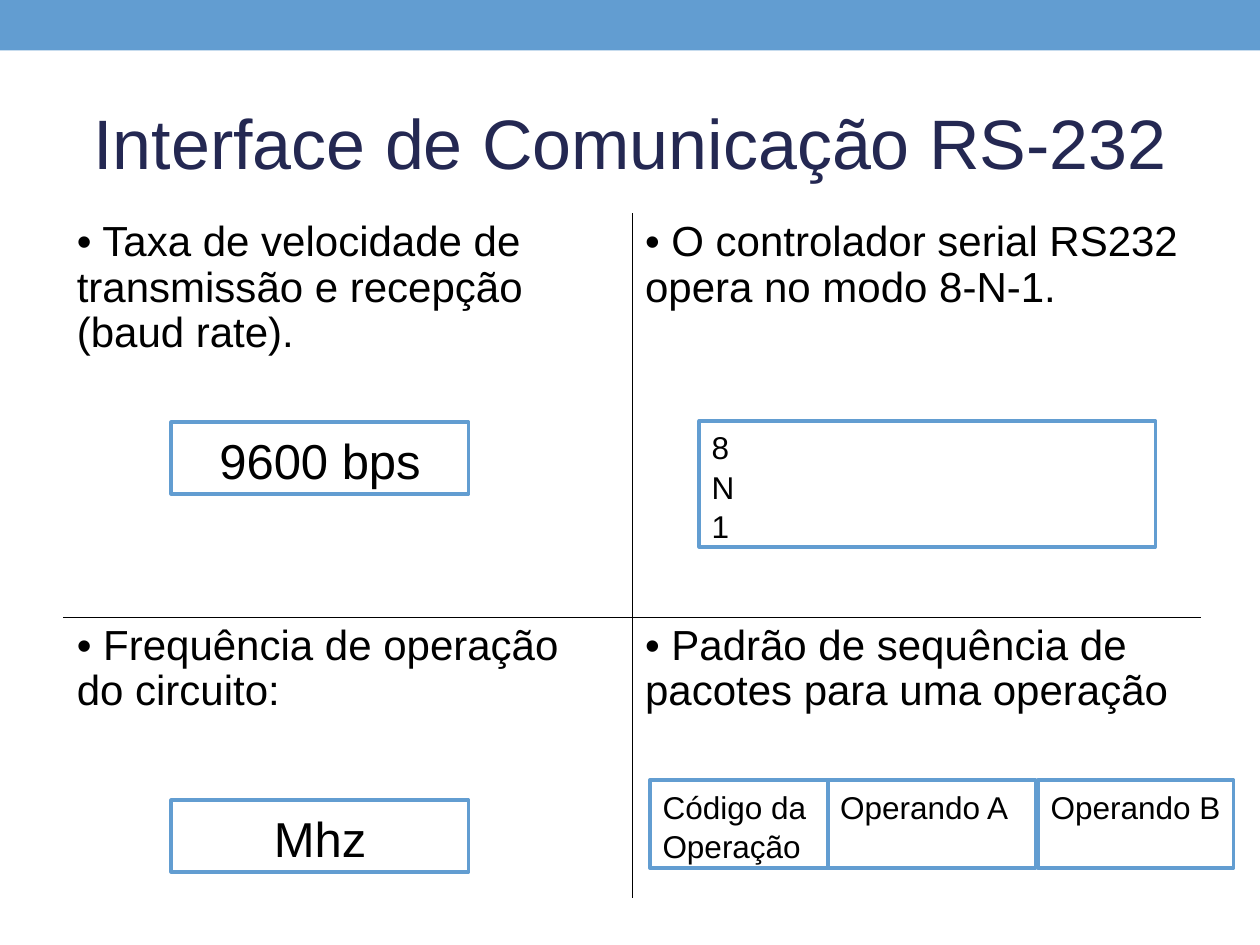
from pptx import Presentation
from pptx.dml.color import RGBColor
from pptx.enum import shapes, text
from pptx.oxml import parse_xml
from pptx.oxml.ns import nsdecls
from pptx.util import Inches, Pt

BLUE, NAVY, BLACK, WHITE = "629DD1", "242852", "000000", "FFFFFF"
LEFT, CENTER = text.PP_ALIGN.LEFT, text.PP_ALIGN.CENTER


def color(value):
    """Turn a hex string into a colour."""
    return RGBColor.from_string(value)


def write(frame, lines, size, align=LEFT, ink=BLACK, spacing=1.0):
    """Fill a text frame with one formatted paragraph per line."""
    frame.text = "\n".join(lines)
    for para in frame.paragraphs:
        para.alignment, para.line_spacing = align, spacing
        span = para.runs[0]
        formats = {"name": "Arial", "size": Pt(size), "bold": False}
        for name, value in formats.items():
            setattr(span.font, name, value)
        span.font.color.rgb = color(ink)


deck = Presentation()
deck.slide_width, deck.slide_height = Inches(10), Inches(7.5)
page = deck.slides.add_slide(deck.slide_layouts[5])

band = page.shapes.add_shape(shapes.MSO_SHAPE.RECTANGLE, 0, 0, Inches(10), Inches(0.4))
band.shadow.inherit = False
band.fill.solid()
band.fill.fore_color.rgb = color(BLUE)
band.line.fill.background()

title = page.shapes.title
title_place = {"left": 0.5, "top": 0.58, "width": 9, "height": 1.08}
for name, value in title_place.items():
    setattr(title, name, Inches(value))
write(title.text_frame, ["Interface de Comunicação RS-232"], 40, CENTER, NAVY)
title.text_frame.vertical_anchor = text.MSO_ANCHOR.MIDDLE

# Four topics, divided by a thin cross
topics = [
    [["• Taxa de velocidade de transmissão e recepção (baud rate)."],
     ["• O controlador serial RS232 opera no modo 8-N-1."]],
    [["• Frequência de operação", "do circuito:"],
     ["• Padrão de sequência de pacotes para uma operação"]],
]
inner_edges = [[("lnR", "lnB"), ("lnL", "lnB")], [("lnR", "lnT"), ("lnL", "lnT")]]
grid = page.shapes.add_table(
    2, 2, Inches(0.51), Inches(1.7), Inches(9.02), Inches(5.43)).table
grid.first_row = grid.horz_banding = False
for row, height in zip(grid.rows, (3.2, 2.23)):
    row.height = Inches(height)
for row, cells in enumerate(topics):
    for column, lines in enumerate(cells):
        cell = grid.cell(row, column)
        write(cell.text_frame, lines, 24, spacing=0.97)
        cell.fill.background()
        properties = cell._tc.get_or_add_tcPr()
        for position, edge in enumerate(inner_edges[row][column]):
            properties.insert(position, parse_xml(
                f'<a:{edge} {nsdecls("a")} w="{Pt(0.45)}"><a:solidFill>'
                f'<a:srgbClr val="{BLACK}"/></a:solidFill></a:{edge}>'))

# Values: left, top, width, height, lines, size, alignment, wrap
values = [
    (1.36, 3.35, 2.36, 0.57, ["9600 bps"], 28, CENTER, True),
    (5.55, 3.34, 3.62, 1, ["8", "N", "1"], 18, LEFT, True),
    (1.36, 6.35, 2.36, 0.57, ["Mhz"], 28, CENTER, True),
    (5.16, 6.19, 1.42, 0.7, ["Código da Operação"], 18, LEFT, True),
    (6.57, 6.19, 1.65, 0.7, ["Operando A"], 18, LEFT, True),
    (8.24, 6.19, 1.55, 0.7, ["Operando B"], 18, LEFT, False),
]
for *place, lines, size, align, wrap in values:
    box = page.shapes.add_shape(shapes.MSO_SHAPE.RECTANGLE, *map(Inches, place))
    box.shadow.inherit = False
    box.fill.solid()
    box.fill.fore_color.rgb = color(WHITE)
    box.line.color.rgb = color(BLUE)
    box.line.width = Pt(2.07)
    write(box.text_frame, lines, size, align, spacing=1.04)
    box.text_frame.word_wrap = wrap
    box.text_frame.vertical_anchor = text.MSO_ANCHOR.TOP

deck.save("out.pptx")
